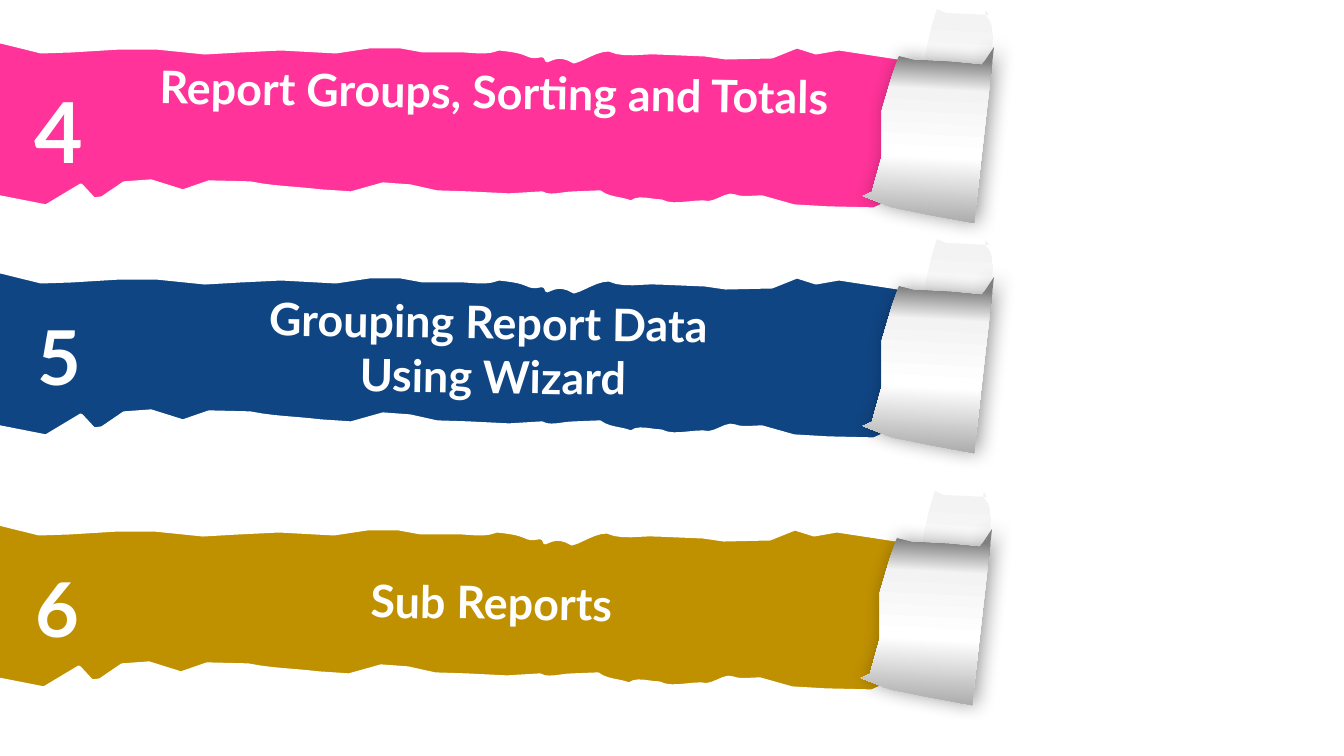
from lxml.etree import SubElement
from pptx import Presentation
from pptx.dml.color import RGBColor
from pptx.enum.text import MSO_ANCHOR, PP_ALIGN
from pptx.oxml.ns import qn
from pptx.util import Pt

PX = 914400 / 100.8
CURVE_STEPS = 6
WHITE = RGBColor(0xFF, 0xFF, 0xFF)
PINK = RGBColor(0xFF, 0x33, 0x99)
BLUE = RGBColor(0x10, 0x45, 0x83)
GOLD = RGBColor(0xBF, 0x90, 0x00)
BLACK = RGBColor(0x00, 0x00, 0x00)
SILVER = RGBColor(0xA6, 0xA6, 0xA6)
GREY = RGBColor(0x80, 0x80, 0x80)
PALE = RGBColor(0xF3, 0xF3, 0xF3)

TAB_STOPS = [(8, PALE), (62, WHITE), (100, SILVER)]
FOLD_STOPS = [(8, GREY), (25, PALE), (62, WHITE), (100, SILVER)]

STRIP = [
    (-5, 154), (46, 164), (81, 143), (94, 157), (102, 156), (124, 141),
    (151, 139), (183, 149), (209, 140), (250, 141),
    (275, 146, 297, 146, 321, 149), (351, 151), (383, 142), (410, 144),
    (437, 150), (468, 151), (509, 153), (542, 151),
    (550, 156, 563, 151, 575, 151), (600, 150),
    (609, 157, 621, 156, 631, 160), (639, 154, 651, 159, 661, 159),
    (673, 165, 688, 160, 703, 160), (714, 164, 726, 150, 735, 154),
    (742, 157, 753, 155, 762, 155), (794, 164), (828, 166), (874, 167),
    (885, 162), (891, 149), (902, 92), (901, 57), (908, 25), (911, 18),
    (839, 7), (816, 11), (797, 5), (772, 15), (726, 16), (705, 13),
    (658, 11), (642, 10, 624, 15, 609, 8), (596, 8, 585, 17, 574, 20),
    (561, 12, 554, 16, 547, 19), (544, 9, 538, 17, 530, 14),
    (521, 10, 517, 9, 499, 7), (484, 13, 471, 8, 456, 9), (423, 9),
    (401, 5), (369, 5), (336, 10), (281, 7), (240, 9), (205, 11),
    (156, 6), (120, 6), (71, 9), (41, 10), (1, 0), (-18, 1), (-10, 43),
    (-17, 121),
]
TAB = [
    (913, 81), (930, 90), (956, 96), (982, 103),
    (986, 67, 992, 17, 993, -5), (993, -28, 982, -23, 986, -32),
    (989, -27), (969, -28), (946, -29), (937, -33), (932, -17), (926, 11),
    (925, 49), (919, 78),
]
FOLD = [
    (863, 154), (891, 165), (930, 173), (974, 181), (989, 49), (994, 5),
    (982, 23), (951, 20), (913, 18), (899, 14), (892, 34), (882, 68),
    (882, 114), (872, 150),
]

BANNERS = [
    ((0, 42), PINK, "4", 60, "Report Groups, Sorting and Totals", (18, 119)),
    ((0, 272), BLUE, "5", 54, "Grouping Report Data \vUsing Wizard", (18, 119)),
    ((-2, 524), GOLD, "6", 54, "Sub Reports", (46, 65)),
]


def emu(px):
    return round(px * PX)


def flatten(outline):
    points = []
    for step in outline:
        if len(step) == 2:
            points.append(step)
            continue
        corners = [points[-1], step[:2], step[2:4], step[4:]]
        for i in range(1, CURVE_STEPS + 1):
            t = i / CURVE_STEPS
            weights = ((1 - t) ** 3, 3 * t * (1 - t) ** 2, 3 * t * t * (1 - t), t ** 3)
            points.append(tuple(sum(w * c[axis] for w, c in zip(weights, corners))
                                for axis in (0, 1)))
    return points


def add_outline(shapes, origin, outline):
    points = [(emu(x), emu(y)) for x, y in flatten(outline)]
    builder = shapes.build_freeform(*points[0], scale=1.0)
    builder.add_line_segments(points[1:], close=True)
    sp = builder.convert_to_shape(*map(emu, origin))
    sp.shadow.inherit = False
    return sp


def add_paper(shapes, origin, outline, stops):
    sp = add_outline(shapes, origin, outline)
    sp.line.fill.background()
    sp.fill.gradient()
    sp.fill.gradient_angle = 267
    stop_list = sp.element.spPr.find(qn("a:gradFill")).find(qn("a:gsLst"))
    for old in list(stop_list):
        stop_list.remove(old)
    for position, color in stops:
        stop = SubElement(stop_list, qn("a:gs"), pos=str(position * 1000))
        SubElement(stop, qn("a:srgbClr"), val=str(color))
    return sp


def add_shadow(sp, alpha, blur, distance):
    effects = sp.element.spPr.find(qn("a:effectLst"))
    shadow = SubElement(effects, qn("a:outerShdw"), blurRad=str(Pt(blur)),
                        dist=str(Pt(distance)), dir="0", algn="ctr", rotWithShape="0")
    color = SubElement(shadow, qn("a:srgbClr"), val=str(BLACK))
    SubElement(color, qn("a:alpha"), val=str(alpha * 1000))


def add_label(s, box, text, size, rotation=0):
    tb = s.shapes.add_textbox(*map(emu, box))
    tb.rotation = rotation
    tf = tb.text_frame
    tf.word_wrap = True
    tf.vertical_anchor = MSO_ANCHOR.TOP
    p = tf.paragraphs[0]
    p.text = text
    p.alignment = PP_ALIGN.CENTER
    for r in p.runs:
        for name, value in {"name": "Lato", "size": Pt(size), "bold": True}.items():
            setattr(r.font, name, value)
        r.font.color.rgb = WHITE


def add_banner(s, origin, color, number, number_size, title, title_span):
    x, y = origin
    strip = add_outline(s.shapes, origin, STRIP)
    strip.fill.solid()
    strip.fill.fore_color.rgb = color
    strip.line.color.rgb = WHITE
    strip.line.width = Pt(2.25)
    peel = s.shapes.add_group_shape().shapes
    add_paper(peel, origin, TAB, TAB_STOPS)
    fold = add_paper(peel, origin, FOLD, FOLD_STOPS)
    add_shadow(fold, 40, 14, 3)
    add_label(s, (x + 23, y + 33, 72, 102), number, number_size)
    title_top, title_height = title_span
    add_label(s, (x + 125, y + title_top, 737, title_height), title, 32, 1)


def main():
    prs = Presentation()
    prs.slide_width, prs.slide_height = emu(1344), emu(756)
    s = prs.slides.add_slide(prs.slide_layouts[6])
    for banner in BANNERS:
        add_banner(s, *banner)
    prs.save("out.pptx")


if __name__ == "__main__":
    main()
